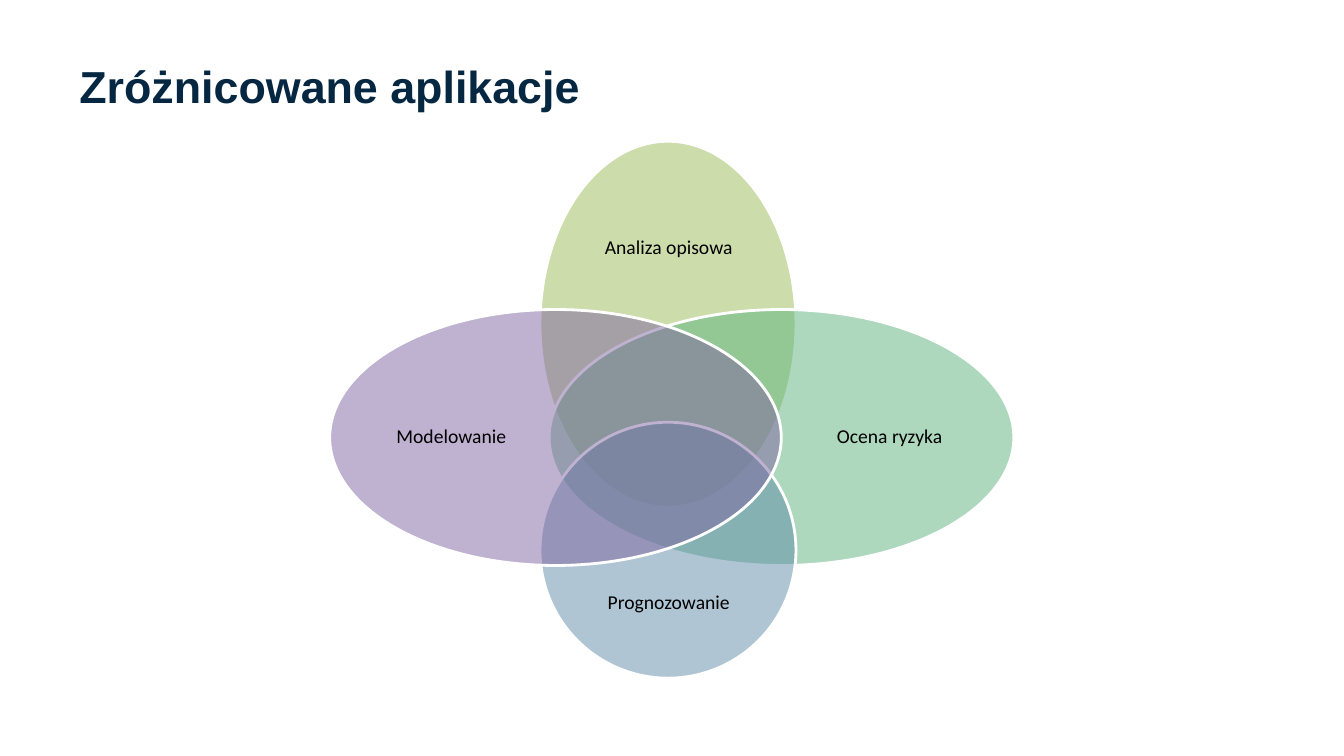
"""Build a slide with a four-part Venn diagram of applications."""
from lxml.etree import SubElement
from pptx import Presentation
from pptx.dml.color import RGBColor
from pptx.enum.shapes import MSO_SHAPE
from pptx.enum.text import MSO_ANCHOR, MSO_AUTO_SIZE, PP_ALIGN
from pptx.oxml.ns import qn
from pptx.util import Cm, Pt

NAVY = RGBColor(0x05, 0x27, 0x41)
BLACK = RGBColor(0, 0, 0)
WHITE = RGBColor(0xFF, 0xFF, 0xFF)
OLIVE = RGBColor(0x9B, 0xBB, 0x59)
GREEN = RGBColor(0x5C, 0xB3, 0x7C)
BLUE = RGBColor(0x60, 0x8C, 0xAB)
PURPLE = RGBColor(0x80, 0x64, 0xA2)

deck = Presentation()
deck.slide_width, deck.slide_height = Cm(33.87), Cm(19.05)
slide = deck.slides.add_slide(deck.slide_layouts[5])

title = slide.shapes.title
title.left, title.top, title.width, title.height = Cm(1.7), Cm(0.76), Cm(30.48), Cm(2.77)
heading = title.text_frame
heading.text = "Zróżnicowane aplikacje"
heading.auto_size = MSO_AUTO_SIZE.NONE
heading.vertical_anchor = MSO_ANCHOR.MIDDLE
heading.margin_left = heading.margin_right = Cm(0.3)
heading.margin_top = heading.margin_bottom = Cm(0.15)
heading_line = heading.paragraphs[0]
heading_line.alignment = PP_ALIGN.LEFT
heading_line.font.name = "Arial"
heading_line.font.size = Pt(32)
heading_line.font.bold = True
heading_line.font.color.rgb = NAVY

applications = [
    ("Analiza opisowa", OLIVE, (13.61, 3.56, 6.45, 9.22), (14.38, 4.8, 4.95, 2.92)),
    ("Ocena ryzyka", GREEN, (13.84, 7.8, 11.71, 6.45), (20.17, 8.53, 4.5, 4.95)),
    ("Prognozowanie", BLUE, (13.61, 10.64, 6.45, 6.45), (14.38, 14.17, 4.95, 2.06)),
    ("Modelowanie", PURPLE, (8.31, 7.8, 11.38, 6.45), (9.19, 8.53, 4.37, 4.95)),
]
for application, color, oval_box, label_box in applications:
    oval = slide.shapes.add_shape(MSO_SHAPE.OVAL, *map(Cm, oval_box))
    oval.shadow.inherit = False
    oval.fill.solid()
    oval.fill.fore_color.rgb = color
    tint = oval.fill._xPr.find(qn("a:solidFill")).find(qn("a:srgbClr"))
    SubElement(tint, qn("a:alpha"), val="50000")
    oval.line.color.rgb = WHITE
    oval.line.width = Pt(2)

    label = slide.shapes.add_textbox(*map(Cm, label_box)).text_frame
    label.word_wrap = True
    label.vertical_anchor = MSO_ANCHOR.MIDDLE
    label.margin_left = label.margin_right = label.margin_top = label.margin_bottom = 0
    label.text = application
    caption = label.paragraphs[0]
    caption.alignment = PP_ALIGN.CENTER
    caption.line_spacing = 0.9
    caption.font.name = "Calibri"
    caption.font.size = Pt(14)
    caption.font.color.rgb = BLACK

deck.save("out.pptx")
